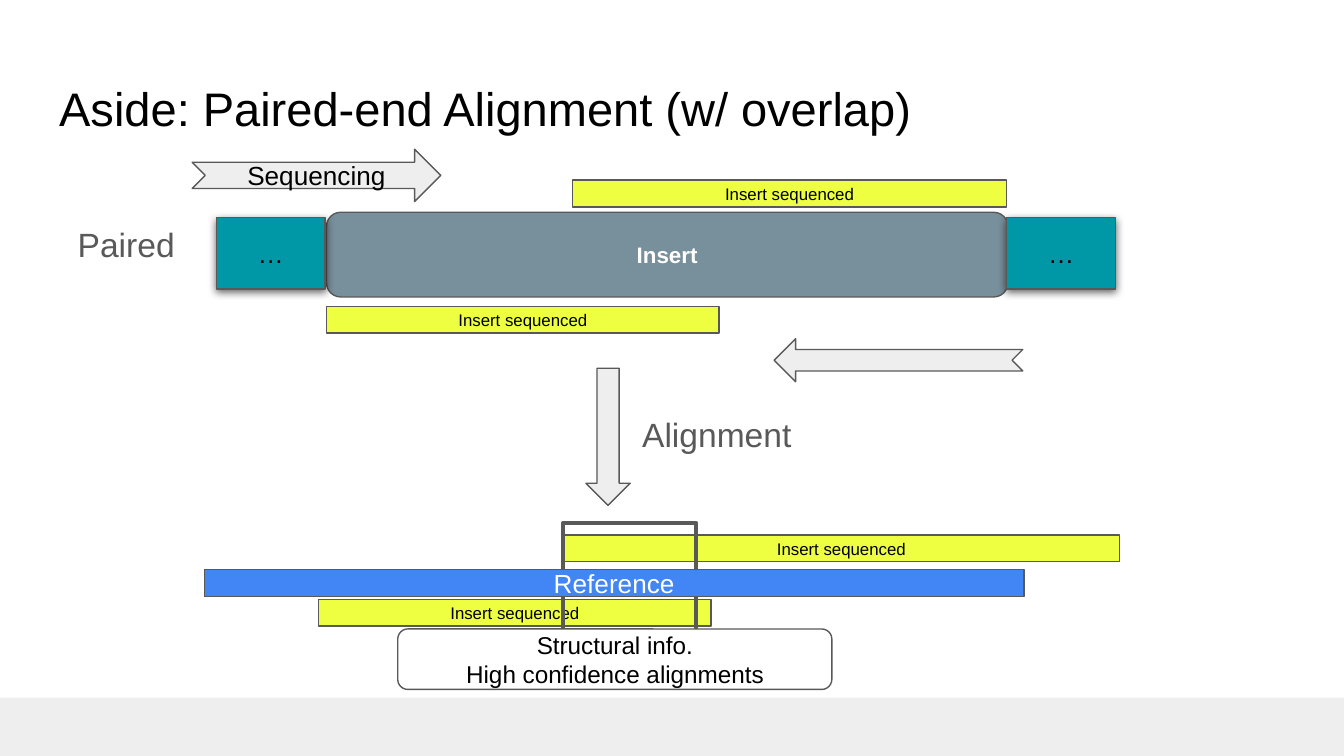
"""Build the paired-end alignment slide."""
from copy import deepcopy
from dataclasses import dataclass
from typing import Optional

from lxml.etree import SubElement
from pptx import Presentation
from pptx.dml.color import RGBColor
from pptx.enum.shapes import MSO_SHAPE
from pptx.enum.text import MSO_ANCHOR, MSO_AUTO_SIZE, PP_ALIGN
from pptx.oxml.ns import qn
from pptx.util import Inches, Pt

BLACK = RGBColor(0x00, 0x00, 0x00)
WHITE = RGBColor(0xFF, 0xFF, 0xFF)
DARK = RGBColor(0x59, 0x59, 0x59)
PALE = RGBColor(0xEE, 0xEE, 0xEE)
SLATE = RGBColor(0x78, 0x90, 0x9C)
TEAL = RGBColor(0x00, 0x97, 0xA7)
YELLOW = RGBColor(0xEE, 0xFF, 0x41)
BLUE = RGBColor(0x42, 0x85, 0xF4)

WIDTH = 10
HEIGHT = WIDTH * 9 / 16
FOOT = 5.19
BAR = 0.2
READ = "Insert sequenced"


@dataclass
class Box:
    left: float
    top: float
    width: float
    height: float
    fill: Optional[RGBColor] = None
    kind: MSO_SHAPE = MSO_SHAPE.RECTANGLE
    text: str = ""
    size: float = 14
    color: RGBColor = BLACK
    bold: bool = False
    line: float = 0.75
    turn: float = 0
    shade: bool = False


@dataclass
class Label:
    text: str
    left: float
    top: float
    width: float


def write(frame, text: str, *, size: float, color: RGBColor, bold: bool = False,
          align=PP_ALIGN.LEFT, anchor=MSO_ANCHOR.TOP, fit=MSO_AUTO_SIZE.NONE) -> None:
    frame.word_wrap = True
    frame.auto_size = fit
    frame.vertical_anchor = anchor
    frame.margin_left = frame.margin_right = Inches(0.1)
    frame.margin_top = frame.margin_bottom = Inches(0.1)
    para = frame.paragraphs[0]
    para.alignment = align
    for index, part in enumerate(text.split("\n")):
        if index:
            para.add_line_break()
        run = para.add_run()
        run.text = part
        font = run.font
        font.name, font.size, font.bold = "Arial", Pt(size), bold
        font.color.rgb = color
    for gap in para._p.findall(qn("a:br")):
        gap.append(deepcopy(run._r.rPr))


def add_shade(shape) -> None:
    effects = shape._element.spPr.find(qn("a:effectLst"))
    outer = SubElement(effects, qn("a:outerShdw"), blurRad=str(Pt(4.5)),
                       dist=str(Pt(1.5)), dir="5400000", algn="bl", rotWithShape="0")
    tint = SubElement(outer, qn("a:srgbClr"), val=str(BLACK))
    SubElement(tint, qn("a:alpha"), val="60000")


def draw_box(slide, box: Box) -> None:
    shape = slide.shapes.add_shape(box.kind, Inches(box.left), Inches(box.top),
                                   Inches(box.width), Inches(box.height))
    shape.shadow.inherit = False
    shape.rotation = box.turn
    if box.fill is None:
        shape.fill.background()
    else:
        shape.fill.solid()
        shape.fill.fore_color.rgb = box.fill
    if box.line:
        shape.line.color.rgb = DARK
        shape.line.width = Pt(box.line)
    else:
        shape.line.fill.background()
    if box.shade:
        add_shade(shape)
    if box.text:
        write(shape.text_frame, box.text, size=box.size, color=box.color,
              bold=box.bold, align=PP_ALIGN.CENTER, anchor=MSO_ANCHOR.MIDDLE)


def draw_label(slide, label: Label) -> None:
    shape = slide.shapes.add_textbox(Inches(label.left), Inches(label.top),
                                     Inches(label.width), Inches(0.5))
    write(shape.text_frame, label.text, size=18, color=DARK,
          fit=MSO_AUTO_SIZE.SHAPE_TO_FIT_TEXT)


def read_bar(left: float, top: float, width: float) -> Box:
    return Box(left, top, width, BAR, YELLOW, text=READ, size=9)


def end_block(left: float) -> Box:
    return Box(left, 1.62, 0.81, 0.53, TEAL, text="…", shade=True)


LABELS = [Label("Alignment", 4.68, 2.98, 1.4), Label("Paired", 0.48, 1.57, 1.04)]
ROUND = MSO_SHAPE.ROUNDED_RECTANGLE
NOTCHED = MSO_SHAPE.NOTCHED_RIGHT_ARROW
BOXES = [
    Box(0, FOOT, WIDTH, HEIGHT - FOOT, PALE, line=0),
    Box(4.36, 2.74, 0.33, 1.02, PALE, MSO_SHAPE.DOWN_ARROW),
    Box(2.43, 1.58, 5.07, 0.63, SLATE, ROUND, "Insert", 12, WHITE, True),
    end_block(1.61),
    Box(1.43, 1.11, 1.85, 0.39, PALE, NOTCHED, "Sequencing"),
    end_block(7.49),
    Box(5.76, 2.52, 1.85, 0.32, PALE, NOTCHED, turn=180),
    read_bar(2.43, 2.28, 2.92),
    read_bar(4.26, 1.34, 3.23),
    read_bar(2.37, 4.46, 2.92),
    read_bar(4.19, 3.98, 4.14),
    Box(4.19, 3.89, 0.99, 1.09, line=2.25),
    Box(2.96, 4.68, 3.23, 0.45, WHITE, ROUND,
        "Structural info.\nHigh confidence alignments", 13),
    Box(1.52, 4.24, 6.1, BAR, BLUE, text="Reference", color=WHITE),
]


def main() -> None:
    deck = Presentation()
    deck.slide_width, deck.slide_height = Inches(WIDTH), Inches(HEIGHT)
    slide = deck.slides.add_slide(deck.slide_layouts[5])
    title = slide.shapes.title
    title.left, title.top = Inches(0.34), Inches(0.49)
    title.width, title.height = Inches(9.32), Inches(0.63)
    write(title.text_frame, "Aside: Paired-end Alignment (w/ overlap)",
          size=25.2, color=BLACK)
    for label in LABELS:
        draw_label(slide, label)
    for box in BOXES:
        draw_box(slide, box)
    deck.save("out.pptx")


if __name__ == "__main__":
    main()
